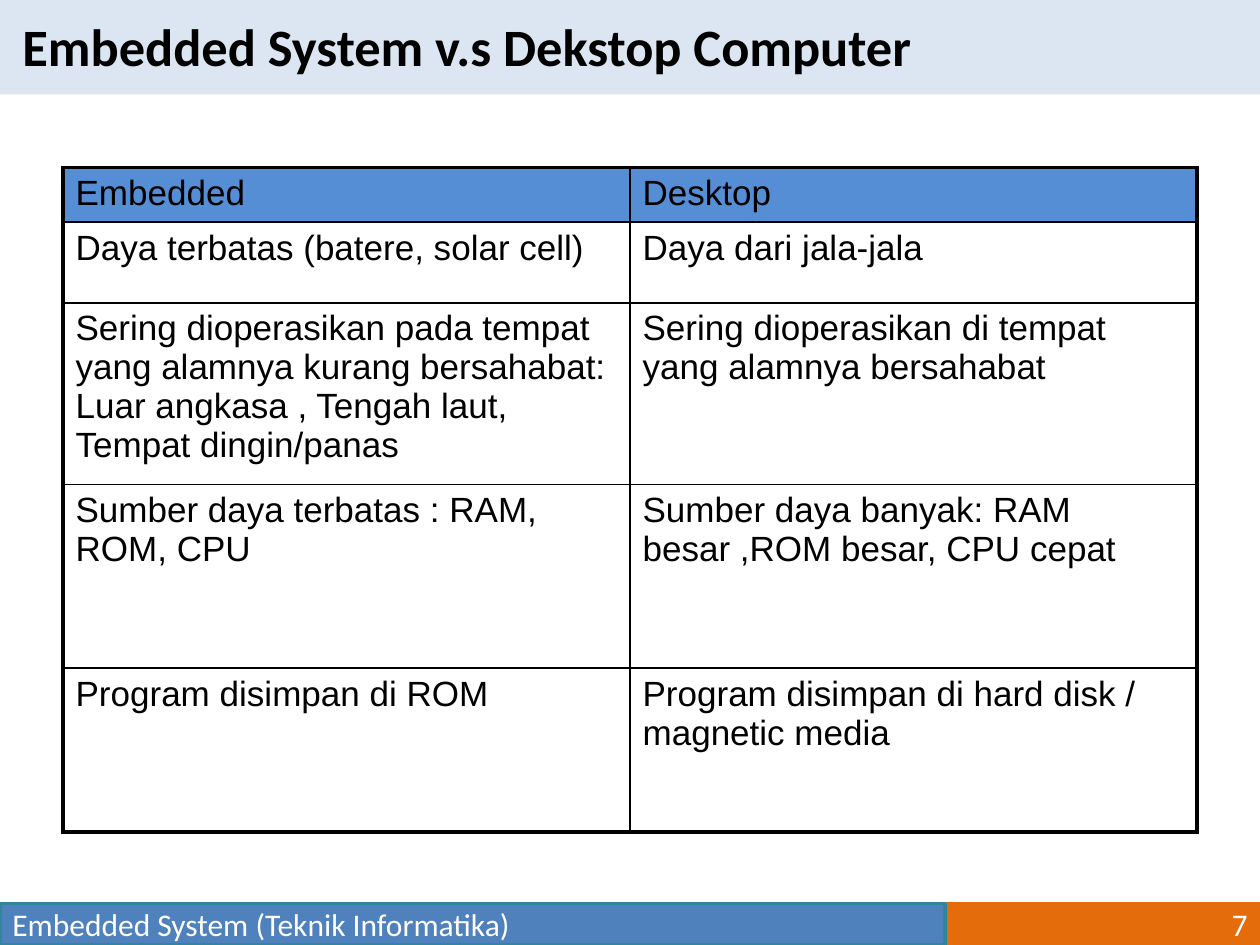
from typing import NamedTuple, Optional

from lxml import etree
from pptx import Presentation
from pptx.dml.color import RGBColor
from pptx.enum import shapes, text
from pptx.oxml import ns
from pptx.util import Inches, Pt

BLACK, WHITE = "000000", "FFFFFF"
HEADER_BLUE = "558ED5"
THIN, THICK = 1, 2.25

ROWS = [
    ("Embedded", "Desktop"),
    ("Daya terbatas (batere, solar cell)", "Daya dari jala-jala"),
    ("Sering dioperasikan pada tempat yang alamnya kurang bersahabat: "
     "Luar angkasa , Tengah laut, Tempat dingin/panas",
     "Sering dioperasikan di tempat yang alamnya bersahabat"),
    ("Sumber daya terbatas : RAM, ROM, CPU",
     "Sumber daya banyak: RAM besar ,ROM besar, CPU cepat"),
    ("Program disimpan di ROM", "Program disimpan di hard disk / magnetic media"),
]
ROW_HEIGHTS = [0.43, 0.64, 1.44, 1.46, 1.3]


class Bar(NamedTuple):
    left: float
    top: float
    width: float
    height: float
    fill: str
    line: Optional[str] = None
    label: str = ""
    align: text.PP_ALIGN = text.PP_ALIGN.LEFT


BARS = [
    Bar(0, 0, 10, 0.75, "DCE6F2"),
    Bar(7.5, 7.17, 2.5, 0.33, "E46C0A", "E46C0A", "7", text.PP_ALIGN.RIGHT),
    Bar(0, 7.17, 7.5, 0.33, "4F81BD", "31859C",
        "Embedded System (Teknik Informatika)"),
]


def paint(fill, color: str) -> None:
    fill.solid()
    fill.fore_color.rgb = RGBColor.from_string(color)


def write(frame, words: str, font: str, size: float, color: str,
          bold: bool = False) -> None:
    para = frame.paragraphs[0]
    para.text = words
    para.font.name, para.font.size, para.font.bold = font, Pt(size), bold
    paint(para.font.fill, color)


def add_bar(page, bar: Bar) -> None:
    box = page.shapes.add_shape(
        shapes.MSO_SHAPE.RECTANGLE, Inches(bar.left), Inches(bar.top),
        Inches(bar.width), Inches(bar.height))
    box.shadow.inherit = False
    paint(box.fill, bar.fill)
    if bar.line:
        paint(box.line.fill, bar.line)
        box.line.width = Pt(2)
    else:
        box.line.fill.background()
    if bar.label:
        box.text_frame.vertical_anchor = text.MSO_ANCHOR.MIDDLE
        write(box.text_frame, bar.label, "Calibri", 18, WHITE)
        box.text_frame.paragraphs[0].alignment = bar.align


def add_title(page, words: str) -> None:
    box = page.shapes.add_textbox(
        Inches(0.08), Inches(0.06), Inches(7.33), Inches(0.61))
    box.text_frame.word_wrap = False
    box.text_frame.auto_size = text.MSO_AUTO_SIZE.SHAPE_TO_FIT_TEXT
    write(box.text_frame, words, "Calibri", 30, BLACK, bold=True)


def set_borders(cell, widths: dict[str, float]) -> None:
    """Draw black cell borders; must run before the cell is filled."""
    properties = cell._tc.get_or_add_tcPr()
    for side, width in widths.items():
        line = etree.SubElement(properties, ns.qn(f"a:ln{side}"), w=str(Pt(width)))
        fill = etree.SubElement(line, ns.qn("a:solidFill"))
        etree.SubElement(fill, ns.qn("a:srgbClr"), val=BLACK)


def add_comparison(page) -> None:
    columns = len(ROWS[0])
    table = page.shapes.add_table(
        len(ROWS), columns, Inches(0.5), Inches(1.33),
        Inches(9), Inches(sum(ROW_HEIGHTS))).table
    table.horz_banding = False
    for r, (words, height) in enumerate(zip(ROWS, ROW_HEIGHTS)):
        table.rows[r].height = Inches(height)
        for c, label in enumerate(words):
            cell = table.cell(r, c)
            outer = {"L": c == 0, "R": c == columns - 1,
                     "T": r == 0, "B": r == len(ROWS) - 1}
            set_borders(cell, {side: THICK if edge else THIN
                               for side, edge in outer.items()})
            paint(cell.fill, HEADER_BLUE if r == 0 else WHITE)
            write(cell.text_frame, label, "Arial", 20, BLACK)


def main() -> None:
    deck = Presentation()
    deck.slide_width, deck.slide_height = Inches(10), Inches(7.5)
    page = deck.slides.add_slide(deck.slide_layouts[6])
    for bar in BARS:
        add_bar(page, bar)
    add_title(page, "Embedded System v.s Dekstop Computer")
    add_comparison(page)
    deck.save("out.pptx")


if __name__ == "__main__":
    main()
